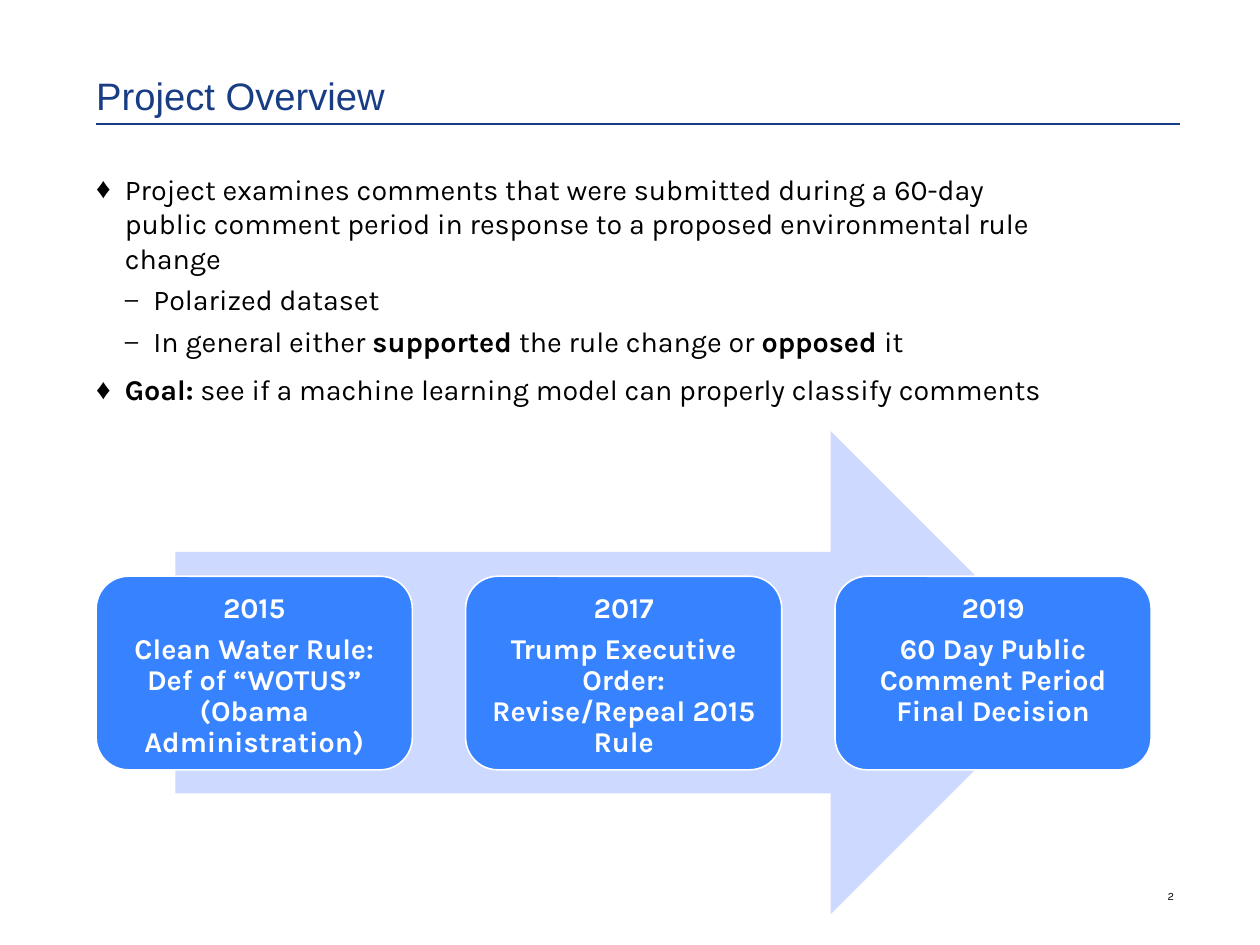
import pptx
import pptx.util
import pptx.dml.color
import pptx.enum.shapes
import pptx.enum.text
import pptx.oxml
import pptx.oxml.ns
import lxml.etree

Pt = pptx.util.Pt
RGBColor = pptx.dml.color.RGBColor
SHAPE = pptx.enum.shapes.MSO_SHAPE
ALIGN = pptx.enum.text.PP_ALIGN
ANCHOR = pptx.enum.text.MSO_ANCHOR
qn = pptx.oxml.ns.qn

NAVY = RGBColor(0x19, 0x3D, 0x85)
BLUE = RGBColor(0x37, 0x83, 0xFF)
PALE = RGBColor(0xCE, 0xD9, 0xFF)
WHITE = RGBColor(0xFF, 0xFF, 0xFF)
BLACK = RGBColor(0, 0, 0)

TITLE = "Project Overview"
PAGE = "2"
POINTS = [
    (0, [("Project examines comments that were submitted during a 60-day public "
          "comment period in response to a proposed environmental rule change", False)]),
    (1, [("Polarized dataset", False)]),
    (1, [("In general either ", False), ("supported ", True),
         ("the rule change or ", False), ("opposed ", True), ("it", False)]),
    (0, [("Goal:", True),
         (" see if a machine learning model can properly classify comments", False)]),
]
BULLETS = [
    {"char": "♦", "size": 100, "before": 9},
    {"char": "–", "size": 84, "before": 4.5},
]
MILESTONES = [
    ("2015", "Clean Water Rule:\nDef of “WOTUS”\n(Obama Administration)"),
    ("2017", "Trump Executive Order:\nRevise/Repeal 2015 Rule"),
    ("2019", "60 Day Public Comment Period\nFinal Decision"),
]

LEFT, RIGHT = 60.5, 741.6
INDENT = 18
STEP_TOP, STEP_WIDTH, STEP_HEIGHT, STEP_PITCH = 362.2, 198.7, 121.7, 232.2


def set_all(target, values):
    for name, value in values.items():
        setattr(target, name, value)


def style(run, size, color, font="Karla", bold=False):
    set_all(run.font, {"name": font, "size": Pt(size), "bold": bold})
    run.font.color.rgb = color


def frame_text(shape, anchor=ANCHOR.TOP, inset=0, wrap=True):
    frame = shape.text_frame
    set_all(frame, {"vertical_anchor": anchor, "word_wrap": wrap,
                    "auto_size": pptx.enum.text.MSO_AUTO_SIZE.NONE})
    set_all(frame, {f"margin_{side}": Pt(inset)
                    for side in ("left", "top", "right", "bottom")})
    return frame


def paragraph_at(frame, index):
    return frame.add_paragraph() if index else frame.paragraphs[0]


def add_bullet(paragraph, level):
    bullet = BULLETS[level]
    paragraph.level = level
    paragraph.space_before = Pt(bullet["before"])
    props = paragraph._p.get_or_add_pPr()
    props.set("marL", str(Pt(INDENT * (level + 1))))
    props.set("indent", str(-Pt(INDENT)))
    color = lxml.etree.SubElement(props, qn("a:buClr"))
    lxml.etree.SubElement(color, qn("a:srgbClr"), val=str(BLACK))
    lxml.etree.SubElement(props, qn("a:buSzPct"), val=str(bullet["size"] * 1000))
    lxml.etree.SubElement(props, qn("a:buFont"), typeface="Arial")
    lxml.etree.SubElement(props, qn("a:buChar"), char=bullet["char"])


def add_filled(shapes, kind, box, fill):
    shape = shapes.add_shape(kind, *map(Pt, box))
    shape.shadow.inherit = False
    shape.fill.solid()
    shape.fill.fore_color.rgb = fill
    return shape


def add_milestone(shapes, index, year, event):
    step = add_filled(shapes, SHAPE.ROUNDED_RECTANGLE,
                      (LEFT + index * STEP_PITCH, STEP_TOP, STEP_WIDTH, STEP_HEIGHT), BLUE)
    step.line.color.rgb = WHITE
    step.line.width = Pt(1)
    frame = frame_text(step, inset=5)
    for row, words in enumerate((year, event)):
        paragraph = paragraph_at(frame, row)
        paragraph.text = words
        set_all(paragraph, {"alignment": ALIGN.CENTER, "line_spacing": 0.9,
                            "space_after": Pt(6.3)})
        for run in paragraph.runs:
            style(run, 18, WHITE, bold=True)


def main():
    deck = pptx.Presentation()
    set_all(deck, {"slide_width": Pt(792), "slide_height": Pt(594)})
    slide = deck.slides.add_slide(deck.slide_layouts[5])
    shapes = slide.shapes

    title = shapes.title
    set_all(title, {"left": Pt(LEFT), "top": Pt(0),
                    "width": Pt(RIGHT - LEFT), "height": Pt(74.2)})
    heading = frame_text(title, ANCHOR.BOTTOM).paragraphs[0]
    heading.text = TITLE
    heading.alignment = ALIGN.LEFT
    style(heading.runs[0], 24, NAVY, "Arial")

    rule = shapes.add_connector(pptx.enum.shapes.MSO_CONNECTOR.STRAIGHT,
                                Pt(LEFT), Pt(77.8), Pt(RIGHT), Pt(77.8))
    rule.line.color.rgb = NAVY
    rule.line.width = Pt(1.5)
    lxml.etree.SubElement(rule._element.spPr, qn("a:effectLst"))

    page = shapes.add_textbox(Pt(705.6), Pt(537.8), Pt(32.4), Pt(29.5))
    number = frame_text(page, ANCHOR.BOTTOM, wrap=False).paragraphs[0]
    number.text = PAGE
    number.alignment = ALIGN.RIGHT
    style(number.runs[0], 7, BLACK)

    overview = shapes.add_textbox(Pt(LEFT), Pt(108), Pt(595.4), Pt(187.2))
    frame = frame_text(overview)
    for index, (level, pieces) in enumerate(POINTS):
        paragraph = paragraph_at(frame, index)
        add_bullet(paragraph, level)
        for words, bold in pieces:
            run = paragraph.add_run()
            run.text = words
            style(run, 18, BLACK, bold=bold)

    arrow = add_filled(shapes, SHAPE.RIGHT_ARROW, (110.2, 270.9, 563.8, 303.8), PALE)
    arrow.line.fill.background()
    for index, (year, event) in enumerate(MILESTONES):
        add_milestone(shapes, index, year, event)

    deck.save("out.pptx")


if __name__ == "__main__":
    main()
